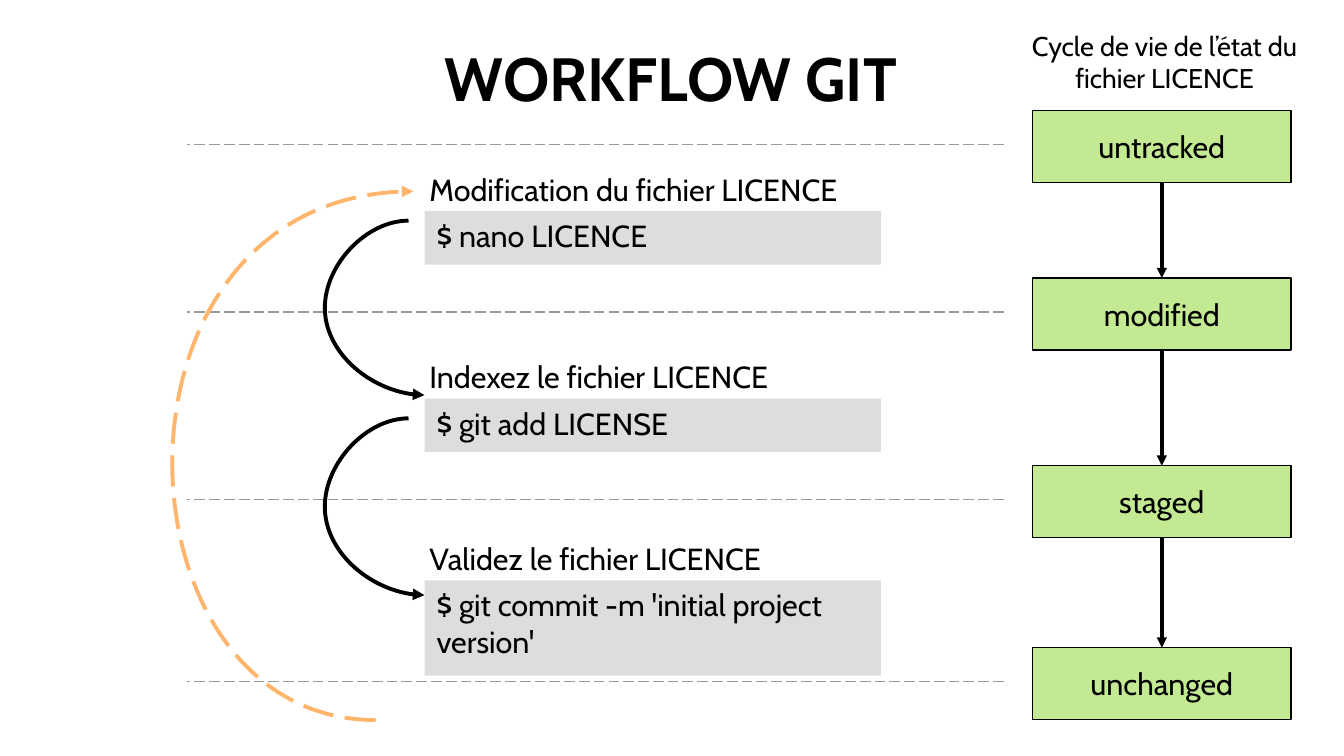
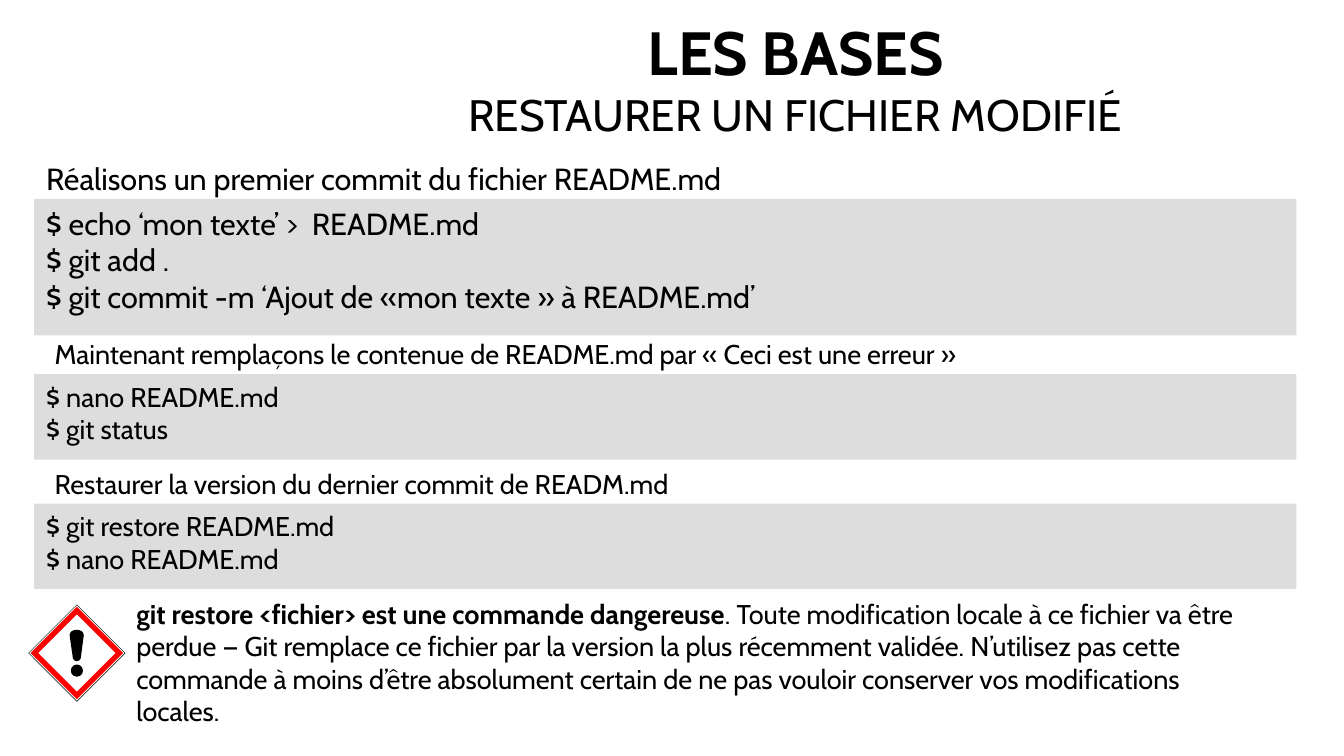
from dataclasses import dataclass
from itertools import pairwise
from typing import Optional

from lxml import etree
from pptx import Presentation
from pptx.dml.color import RGBColor
from pptx.enum.dml import MSO_LINE
from pptx.enum.shapes import MSO_CONNECTOR, MSO_SHAPE
from pptx.enum.text import MSO_ANCHOR, MSO_AUTO_SIZE, PP_ALIGN
from pptx.oxml.ns import qn
from pptx.util import Pt

BLACK = RGBColor(0x00, 0x00, 0x00)
WHITE = RGBColor(0xFF, 0xFF, 0xFF)
RED = RGBColor(0xFF, 0x00, 0x00)
GREEN = RGBColor(0x81, 0xD4, 0x1A)
ORANGE = RGBColor(0xFF, 0xB6, 0x6C)
CODE_GREY = RGBColor(0xDD, 0xDD, 0xDD)
RULE_GREY = RGBColor(0x99, 0x99, 0x99)

FONT = "Cabin"
LEFT, CENTER = PP_ALIGN.LEFT, PP_ALIGN.CENTER
TOP, MIDDLE = MSO_ANCHOR.TOP, MSO_ANCHOR.MIDDLE
NO_AUTO_SIZE = MSO_AUTO_SIZE.NONE
STRAIGHT, CURVE = MSO_CONNECTOR.STRAIGHT, MSO_CONNECTOR.CURVE
RECTANGLE, DIAMOND, OVAL = MSO_SHAPE.RECTANGLE, MSO_SHAPE.DIAMOND, MSO_SHAPE.OVAL
LONG_DASH = MSO_LINE.LONG_DASH
TITLE_ONLY = 5


@dataclass(frozen=True)
class Box:
    left: float
    top: float
    width: float
    height: float

    def lengths(self) -> tuple:
        return Pt(self.left), Pt(self.top), Pt(self.width), Pt(self.height)


@dataclass(frozen=True)
class TextStyle:
    size: float = 18
    align: PP_ALIGN = LEFT
    anchor: MSO_ANCHOR = TOP
    margin_x: float = 7.2
    margin_y: float = 3.6
    wrap: bool = True


@dataclass(frozen=True)
class LineStyle:
    color: RGBColor
    width: float
    dash: Optional[MSO_LINE] = None
    arrow: bool = False


@dataclass(frozen=True)
class Step:
    label: str
    command: str
    top: float
    height: float


@dataclass(frozen=True)
class State:
    name: str
    top: float


@dataclass(frozen=True)
class Passage:
    label: str
    label_box: Box
    commands: str
    command_box: Box
    size: float


LABEL_STYLE = TextStyle(anchor=MIDDLE, margin_x=2.9, margin_y=2.9)
STATE_STYLE = TextStyle(align=CENTER, anchor=MIDDLE)
TITLE_STYLE = TextStyle(36, CENTER, MIDDLE, 0, 0, False)

RULE = LineStyle(RULE_GREY, 0.79, LONG_DASH)
STATE_ARROW = LineStyle(BLACK, 0, arrow=True)
STEP_ARROW = LineStyle(BLACK, 2.3, arrow=True)
LOOP_ARROW = LineStyle(ORANGE, 2.3, LONG_DASH, True)

STEP_LEFT, STEP_WIDTH = 250.6, 269.5
STATE_LEFT, STATE_WIDTH, STATE_HEIGHT = 609.6, 152.6, 42.5
RULE_LEFT, RULE_RIGHT, RULE_OFFSET = 110.6, 592.6, 20

STEPS = (
    Step("Modification du fichier LICENCE", "$ nano LICENCE", 124.6, 31.7),
    Step("Indexez le fichier LICENCE", "$ git add LICENSE", 235.4, 31.7),
    Step("Validez le fichier LICENCE",
         "$ git commit -m 'initial project version'", 342.7, 56.2),
)
STATES = (
    State("untracked", 65.3),
    State("modified", 164.2),
    State("staged", 275),
    State("unchanged", 382.4),
)
STEP_ARROW_ENDS = ((130.3, 233.3), (247, 351.4))

PASSAGES = (
    Passage("Réalisons un premier commit du fichier README.md",
            Box(20.2, 90.7, 765, 31.7),
            "$ echo ‘mon texte’ >  README.md\n$ git add .\n"
            "$ git commit -m ‘Ajout de «mon texte » à README.md’",
            Box(20.2, 117.4, 745.2, 80.6), 18),
    Passage("Maintenant remplaçons le contenue de README.md par « Ceci est une erreur »",
            Box(25.2, 195.8, 737.3, 28.8),
            "$ nano README.md\n$ git status",
            Box(20.2, 221, 745.2, 50.4), 16),
    Passage("Restaurer la version du dernier commit de READM.md",
            Box(25.2, 272.2, 737.3, 28.8),
            "$ git restore README.md\n$ nano README.md",
            Box(20.2, 297.4, 745.2, 50.4), 16),
)
WARNING_LEAD = "git restore <fichier> est une commande dangereuse"
WARNING_REST = (
    ". Toute modification locale à ce fichier va être perdue — Git remplace ce "
    "fichier par la version la plus récemment validée. N’utilisez pas cette "
    "commande à moins d’être absolument certain de ne pas vouloir conserver vos "
    "modifications locales."
)
SIGN_CENTER_X, SIGN_CENTER_Y = 45.4, 385.6
SIGN_LAYERS = ((57.4, BLACK), (56.4, WHITE), (54.6, RED), (45.4, WHITE))


def style_run(run, size: float, bold: bool = False) -> None:
    run.font.name = FONT
    run.font.size = Pt(size)
    run.font.bold = bold
    run.font.color.rgb = BLACK


def format_frame(frame, style: TextStyle) -> None:
    frame.auto_size = NO_AUTO_SIZE
    frame.word_wrap = style.wrap
    frame.vertical_anchor = style.anchor
    frame.margin_left = frame.margin_right = Pt(style.margin_x)
    frame.margin_top = frame.margin_bottom = Pt(style.margin_y)
    for paragraph in frame.paragraphs:
        paragraph.alignment = style.align
        for run in paragraph.runs:
            style_run(run, style.size)


def add_label(slide, text: str, box: Box, style: TextStyle):
    shape = slide.shapes.add_textbox(*box.lengths())
    shape.text_frame.text = text
    format_frame(shape.text_frame, style)
    return shape


def paint(shape, color: RGBColor) -> None:
    shape.shadow.inherit = False
    shape.fill.solid()
    shape.fill.fore_color.rgb = color
    shape.line.fill.background()


def add_filled(slide, kind: MSO_SHAPE, box: Box, color: RGBColor):
    shape = slide.shapes.add_shape(kind, *box.lengths())
    paint(shape, color)
    return shape


def add_code(slide, text: str, box: Box, size: float) -> None:
    shape = add_filled(slide, RECTANGLE, box, CODE_GREY)
    shape.text_frame.text = text
    format_frame(shape.text_frame, TextStyle(size))


def add_state(slide, state: State) -> None:
    box = Box(STATE_LEFT, state.top, STATE_WIDTH, STATE_HEIGHT)
    shape = add_filled(slide, RECTANGLE, box, GREEN)
    color = shape.element.spPr.find(qn("a:solidFill")).find(qn("a:srgbClr"))
    etree.SubElement(color, qn("a:alpha"), val="47000")
    style_line(shape, LineStyle(BLACK, 0))
    shape.text_frame.text = state.name
    format_frame(shape.text_frame, STATE_STYLE)


def style_line(shape, style: LineStyle) -> None:
    shape.line.color.rgb = style.color
    shape.line.width = Pt(style.width)
    if style.dash is not None:
        shape.line.dash_style = style.dash
    if style.arrow:
        line = shape.element.spPr.find(qn("a:ln"))
        etree.SubElement(line, qn("a:tailEnd"), type="triangle")


def add_line(slide, start: tuple, end: tuple, style: LineStyle, kind=STRAIGHT):
    connector = slide.shapes.add_connector(
        kind, Pt(start[0]), Pt(start[1]), Pt(end[0]), Pt(end[1]))
    style_line(connector, style)
    etree.SubElement(connector.element.spPr, qn("a:effectLst"))
    return connector


def add_step_arrow(slide, top: float, bottom: float) -> None:
    connector = add_line(slide, (241.2, top), (250.6, bottom), STEP_ARROW, CURVE)
    geometry = connector.element.spPr.find(qn("a:prstGeom"))
    adjustments = geometry.find(qn("a:avLst"))
    etree.SubElement(adjustments, qn("a:gd"), name="adj1", fmla="val -525000")


def add_outline(slide, points: tuple, curve_starts: tuple, close: bool):
    start, *others = [(Pt(x), Pt(y)) for x, y in points]
    builder = slide.shapes.build_freeform(*start, scale=1.0)
    builder.add_line_segments(others, close=close)
    shape = builder.convert_to_shape()
    segments = list(shape.element.iter(qn("a:lnTo")))
    for index in curve_starts:
        first, *controls = segments[index:index + 3]
        first.tag
        curve = etree.Element(qn("a:cubicBezTo"))
        first.addprevious(curve)
        for segment in (first, *controls):
            curve.append(segment[0])
            segment.getparent().remove(segment)
    shape.shadow.inherit = False
    return shape


def add_title_slide(presentation, lines: tuple, box: Box):
    slide = presentation.slides.add_slide(presentation.slide_layouts[TITLE_ONLY])
    title = slide.shapes.title
    title.left, title.top, title.width, title.height = box.lengths()
    title.text_frame.text = "\n".join(lines)
    format_frame(title.text_frame, TITLE_STYLE)
    heading, *subtitles = title.text_frame.paragraphs
    style_run(heading.runs[0], TITLE_STYLE.size, bold=True)
    for subtitle in subtitles:
        style_run(subtitle.runs[0], 26)
    return slide


def build_workflow(presentation) -> None:
    slide = add_title_slide(presentation, ("WORKFLOW GIT",), Box(254.2, 18, 283.7, 55.4))
    for state in STATES:
        rule_y = state.top + RULE_OFFSET
        add_line(slide, (RULE_RIGHT, rule_y), (RULE_LEFT, rule_y), RULE)
        add_state(slide, state)
    center = STATE_LEFT + STATE_WIDTH / 2
    for upper, lower in pairwise(STATES):
        add_line(slide, (center, upper.top + STATE_HEIGHT), (center, lower.top), STATE_ARROW)
    for step in STEPS:
        add_label(slide, step.label, Box(STEP_LEFT, step.top - 31, STEP_WIDTH, 36), LABEL_STYLE)
        add_code(slide, step.command, Box(STEP_LEFT, step.top, STEP_WIDTH, step.height), 18)
    for top, bottom in STEP_ARROW_ENDS:
        add_step_arrow(slide, top, bottom)
    loop = add_outline(
        slide, ((221.8, 425.2), (64.1, 425.2), (53.3, 113), (244.1, 113)), (0,), False)
    loop.fill.background()
    style_line(loop, LOOP_ARROW)
    add_label(slide, "Cycle de vie de l’état du fichier LICENCE",
              Box(595.4, 13.7, 184.3, 50.4), TextStyle(16, CENTER))


def add_warning_sign(slide) -> None:
    for side, color in SIGN_LAYERS:
        box = Box(SIGN_CENTER_X - side / 2, SIGN_CENTER_Y - side / 2, side, side)
        add_filled(slide, DIAMOND, box, color)
    add_filled(slide, OVAL, Box(41.8, 392.4, 7.2, 7.2), BLACK)
    mark = add_outline(
        slide,
        ((47.7, 388.8), (49.5, 375.1), (49.5, 370.8), (41.1, 370.8), (41.1, 375.1),
         (43.1, 388.8), (43.9, 391), (46.9, 391), (47.7, 388.8)),
        (1, 5), True)
    paint(mark, BLACK)


def build_restore(presentation) -> None:
    slide = add_title_slide(
        presentation, ("LES BASES", "RESTAURER UN FICHIER MODIFIÉ"), Box(146, 0, 647.4, 91.4))
    for passage in PASSAGES:
        add_label(slide, passage.label, passage.label_box, TextStyle(passage.size))
        add_code(slide, passage.commands, passage.command_box, passage.size)
    warning = add_label(slide, WARNING_LEAD, Box(73.4, 349.2, 680.4, 94.3), TextStyle(16))
    paragraph = warning.text_frame.paragraphs[0]
    style_run(paragraph.runs[0], 16, bold=True)
    rest = paragraph.add_run()
    rest.text = WARNING_REST
    style_run(rest, 16)
    add_warning_sign(slide)


def main() -> None:
    presentation = Presentation()
    presentation.slide_width, presentation.slide_height = Pt(793.44), Pt(446.4)
    build_workflow(presentation)
    build_restore(presentation)
    presentation.save("out.pptx")


if __name__ == "__main__":
    main()
